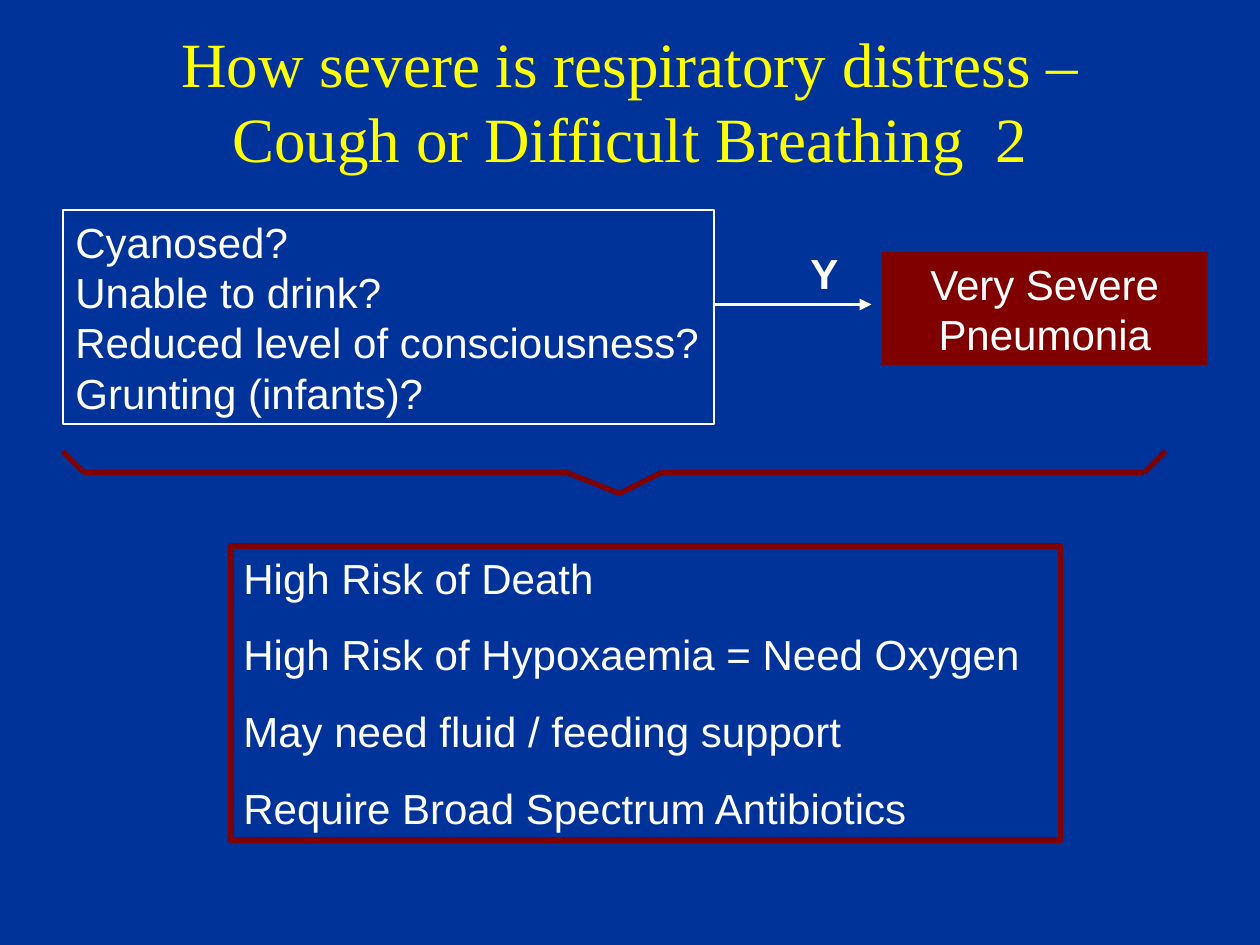
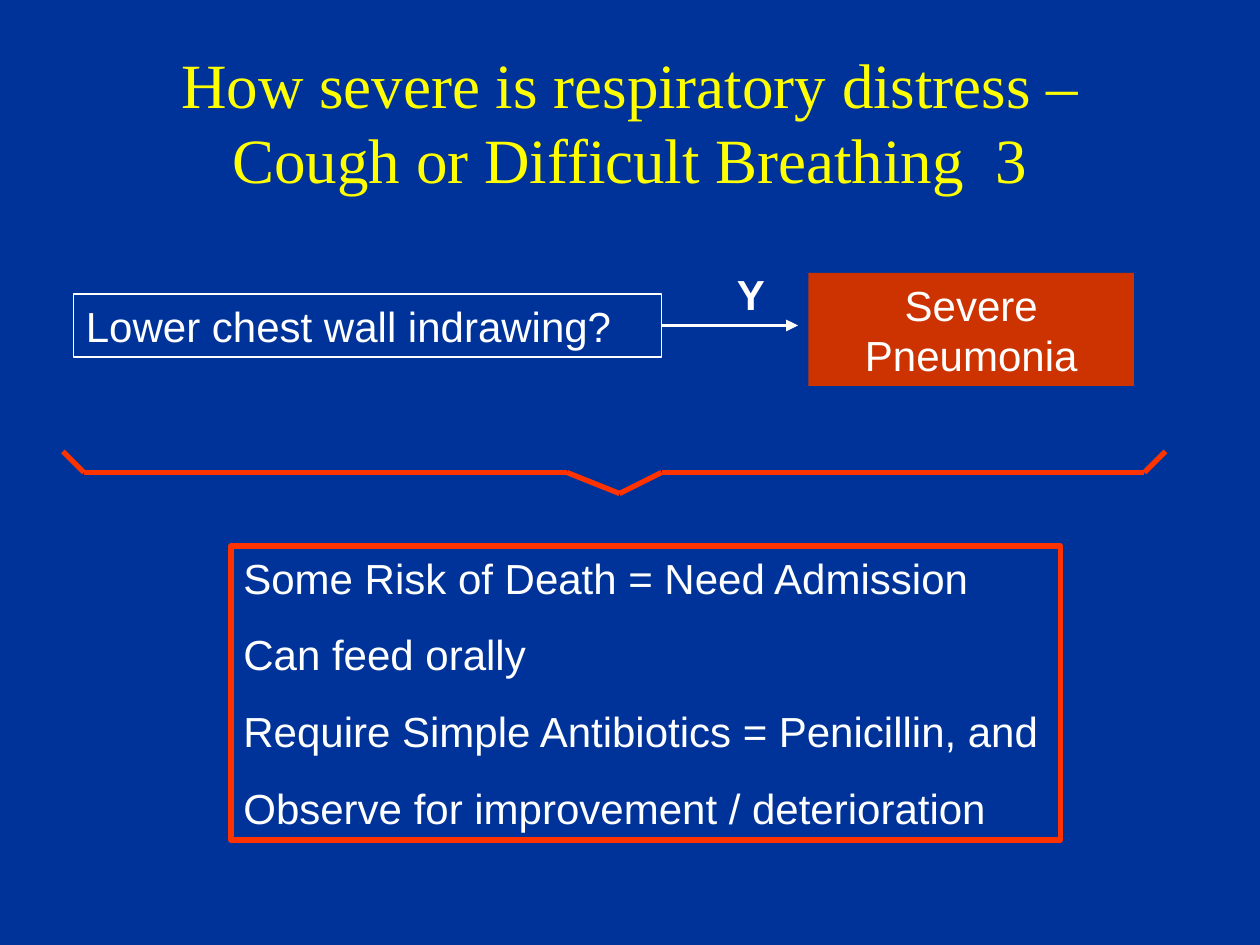
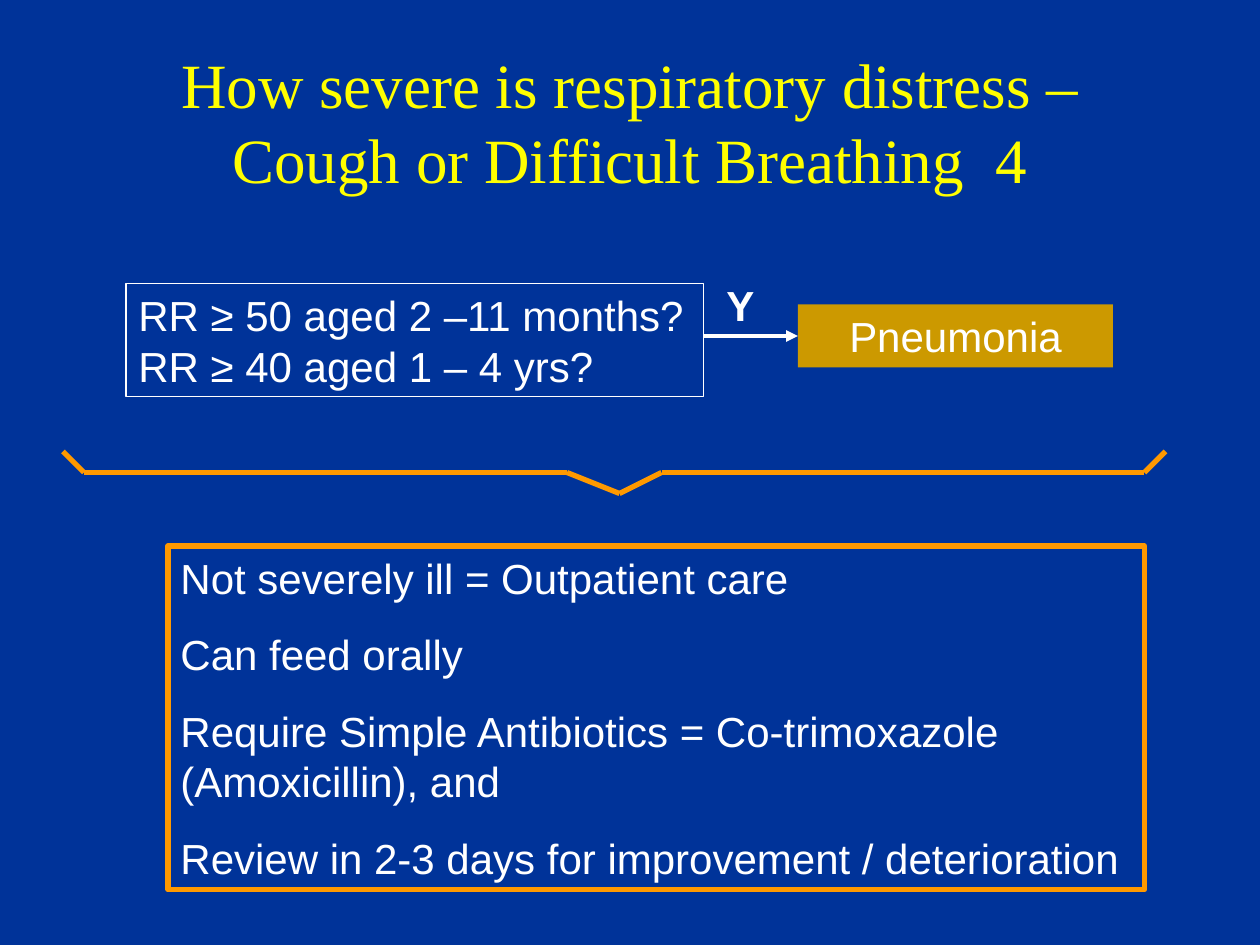
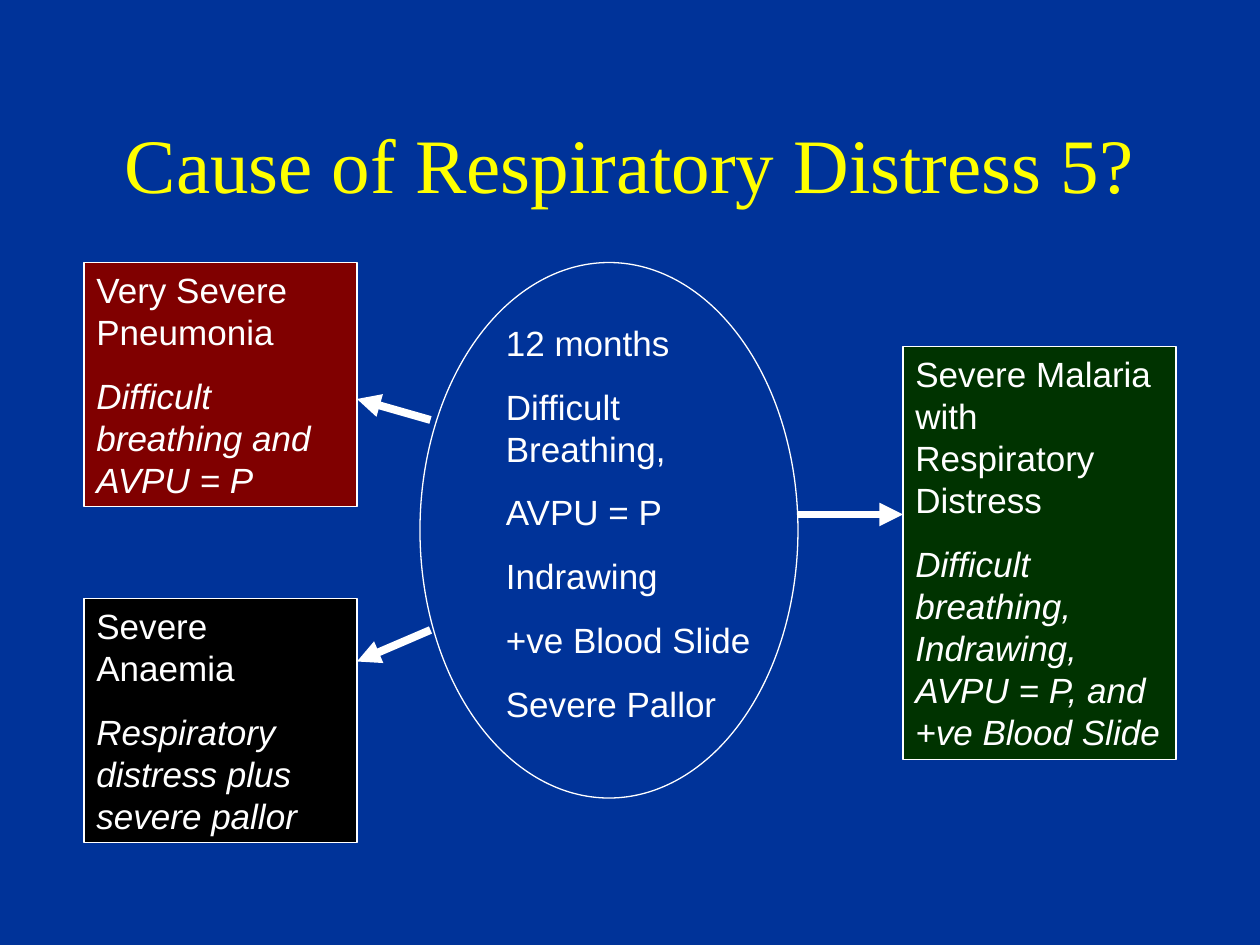
import dataclasses
import itertools
import typing

import pptx
import pptx.dml.color
import pptx.enum.shapes
import pptx.enum.text
import pptx.oxml.ns
import pptx.util
from lxml import etree

EMU_PER_PX = 9525
BLUE = "003399"
YELLOW = "FFFF00"
WHITE = "FFFFFF"
MAROON = "800000"
SANS = "Arial"
SERIF = "Times New Roman"
SHAPES = pptx.enum.shapes.MSO_SHAPE
BRACE_POINTS = ((48, 344), (64, 360), (432, 360), (472, 376), (504, 360), (872, 360), (888, 344))


class Box(typing.NamedTuple):
    left: int
    top: int
    width: int
    height: int


class Arrow(typing.NamedTuple):
    start: tuple[int, int]
    end: tuple[int, int]


@dataclasses.dataclass(frozen=True)
class SeveritySlide:
    title: str
    title_top: int
    questions: list[str]
    question_box: Box
    diagnosis: str
    diagnosis_box: Box
    diagnosis_fill: str
    arrow: Arrow
    yes_left: int
    accent: str
    actions: list[str]
    action_box: Box


@dataclasses.dataclass(frozen=True)
class CauseCard:
    box: Box
    fill: str
    cause: str
    signs: str
    arrow: Arrow


SEVERITY_SLIDES = [
    SeveritySlide(
        title="How severe is respiratory distress – Cough or Difficult Breathing  2",
        title_top=16,
        questions=["Cyanosed?", "Unable to drink?", "Reduced level of consciousness?", "Grunting (infants)?"],
        question_box=Box(48, 160, 496, 163),
        diagnosis="Very Severe Pneumonia",
        diagnosis_box=Box(672, 192, 248, 86),
        diagnosis_fill=MAROON,
        arrow=Arrow((544, 232), (664, 232)),
        yes_left=608,
        accent=MAROON,
        actions=[
            "High Risk of Death",
            "High Risk of Hypoxaemia = Need Oxygen",
            "May need fluid / feeding support",
            "Require Broad Spectrum Antibiotics",
        ],
        action_box=Box(176, 416, 632, 224),
    ),
    SeveritySlide(
        title="How severe is respiratory distress – Cough or Difficult Breathing  3",
        title_top=32,
        questions=["Lower chest wall indrawing?"],
        question_box=Box(56, 224, 448, 48),
        diagnosis="Severe Pneumonia",
        diagnosis_box=Box(616, 208, 248, 86),
        diagnosis_fill="CC3300",
        arrow=Arrow((504, 248), (608, 248)),
        yes_left=552,
        accent="FF3300",
        actions=[
            "Some Risk of Death = Need Admission",
            "Can feed orally",
            "Require Simple Antibiotics = Penicillin, and",
            "Observe for improvement / deterioration",
        ],
        action_box=Box(176, 416, 632, 224),
    ),
    SeveritySlide(
        title="How severe is respiratory distress – Cough or Difficult Breathing  4",
        title_top=32,
        questions=["RR ≥ 50 aged 2 –11 months?", "RR ≥ 40 aged 1 – 4 yrs?"],
        question_box=Box(96, 216, 440, 86),
        diagnosis="Pneumonia",
        diagnosis_box=Box(608, 232, 240, 48),
        diagnosis_fill="CC9900",
        arrow=Arrow((536, 256), (608, 256)),
        yes_left=544,
        accent="FF9900",
        actions=[
            "Not severely ill = Outpatient care",
            "Can feed orally",
            "Require Simple Antibiotics = Co-trimoxazole (Amoxicillin), and",
            "Review in 2-3 days for improvement / deterioration",
        ],
        action_box=Box(128, 416, 744, 262),
    ),
]

FINDINGS = ["12 months", "Difficult Breathing,", "AVPU = P", "Indrawing", "+ve Blood Slide", "Severe Pallor"]

CAUSE_CARDS = [
    CauseCard(Box(64, 200, 208, 186), MAROON, "Very Severe Pneumonia",
              "Difficult breathing and AVPU = P", Arrow((328, 320), (272, 304))),
    CauseCard(Box(688, 264, 208, 315), "003300", "Severe Malaria with Respiratory Distress",
              "Difficult breathing, Indrawing, AVPU = P, and +ve Blood Slide", Arrow((608, 392), (688, 392))),
    CauseCard(Box(64, 456, 208, 186), "000000", "Severe Anaemia",
              "Respiratory distress plus severe pallor", Arrow((328, 480), (272, 504))),
]


def px(length: int) -> int:
    return pptx.util.Emu(length * EMU_PER_PX)


def color(value: str) -> pptx.dml.color.RGBColor:
    return pptx.dml.color.RGBColor.from_string(value)


def write_text(shape, lines: list[str], *, size: int = 24, font: str = SANS, text_color: str = WHITE,
               bold: bool = False, last_italic: bool = False, centered: bool = False,
               gap: float = 0, middle: bool = False, grow: bool = True) -> None:
    frame = shape.text_frame
    frame.word_wrap = True
    anchors = pptx.enum.text.MSO_ANCHOR
    frame.vertical_anchor = anchors.MIDDLE if middle else anchors.TOP
    sizing = pptx.enum.text.MSO_AUTO_SIZE
    frame.auto_size = sizing.SHAPE_TO_FIT_TEXT if grow else sizing.NONE
    alignments = pptx.enum.text.PP_ALIGN
    for index, line in enumerate(lines):
        paragraph = frame.add_paragraph() if index else frame.paragraphs[0]
        paragraph.alignment = alignments.CENTER if centered else alignments.LEFT
        if index and gap:
            paragraph.space_before = pptx.util.Pt(gap)
        run = paragraph.add_run()
        run.text = line
        run.font.name = font
        run.font.size = pptx.util.Pt(size)
        run.font.bold = bold
        run.font.italic = last_italic and index == len(lines) - 1
        run.font.color.rgb = color(text_color)


def add_text_box(slide, box: Box):
    return slide.shapes.add_textbox(*map(px, box))


def add_outline(slide, box: Box, *, kind=SHAPES.RECTANGLE, fill: str | None = None,
                line: str | None = None, width: float = 0.75):
    shape = slide.shapes.add_shape(kind, *map(px, box))
    shape.shadow.inherit = False
    if fill:
        shape.fill.solid()
        shape.fill.fore_color.rgb = color(fill)
    else:
        shape.fill.background()
    if line:
        shape.line.color.rgb = color(line)
        shape.line.width = pptx.util.Pt(width)
    else:
        shape.line.fill.background()
    return shape


def add_line(slide, start: tuple[int, int], end: tuple[int, int], *, line: str = WHITE,
             width: float = 3, arrowhead: bool = False) -> None:
    connector = slide.shapes.add_connector(
        pptx.enum.shapes.MSO_CONNECTOR.STRAIGHT, *map(px, start + end))
    connector.line.color.rgb = color(line)
    connector.line.width = pptx.util.Pt(width)
    if arrowhead:
        etree.SubElement(connector.line._get_or_add_ln(), pptx.oxml.ns.qn("a:tailEnd"), type="triangle")
    etree.SubElement(connector._element.spPr, pptx.oxml.ns.qn("a:effectLst"))


def add_titled_slide(presentation, title: str, top: int, size: int):
    slide = presentation.slides.add_slide(presentation.slide_layouts[6])
    slide.background.fill.solid()
    slide.background.fill.fore_color.rgb = color(BLUE)
    write_text(add_text_box(slide, Box(72, top, 816, 120)), [title], size=size, font=SERIF,
               text_color=YELLOW, centered=True, middle=True, grow=False)
    return slide


def build_severity_slide(presentation, content: SeveritySlide) -> None:
    slide = add_titled_slide(presentation, content.title, content.title_top, 36)
    write_text(add_outline(slide, content.question_box, line=WHITE), content.questions)
    write_text(add_outline(slide, content.diagnosis_box, fill=content.diagnosis_fill),
               [content.diagnosis], centered=True)
    add_line(slide, *content.arrow, width=2.25, arrowhead=True)
    yes_box = Box(content.yes_left, content.arrow.start[1] - 48, 40, 48)
    write_text(add_text_box(slide, yes_box), ["Y"], bold=True)
    for start, end in itertools.pairwise(BRACE_POINTS):
        add_line(slide, start, end, line=content.accent)
    write_text(add_outline(slide, content.action_box, line=content.accent, width=3),
               content.actions, gap=15)


def build_cause_slide(presentation) -> None:
    slide = add_titled_slide(presentation, "Cause of Respiratory Distress 5?", 64, 44)
    add_outline(slide, Box(320, 200, 288, 408), kind=SHAPES.OVAL, line=WHITE)
    write_text(add_text_box(slide, Box(376, 240, 208, 318)), FINDINGS, size=20, gap=12.5)
    for card in CAUSE_CARDS:
        write_text(add_outline(slide, card.box, fill=card.fill, line=WHITE),
                   [card.cause, card.signs], size=20, gap=12.5, last_italic=True)
        add_line(slide, *card.arrow, width=4.5, arrowhead=True)


def main() -> None:
    presentation = pptx.Presentation()
    presentation.slide_width = px(960)
    presentation.slide_height = px(720)
    for content in SEVERITY_SLIDES:
        build_severity_slide(presentation, content)
    build_cause_slide(presentation)
    presentation.save("out.pptx")


if __name__ == "__main__":
    main()
